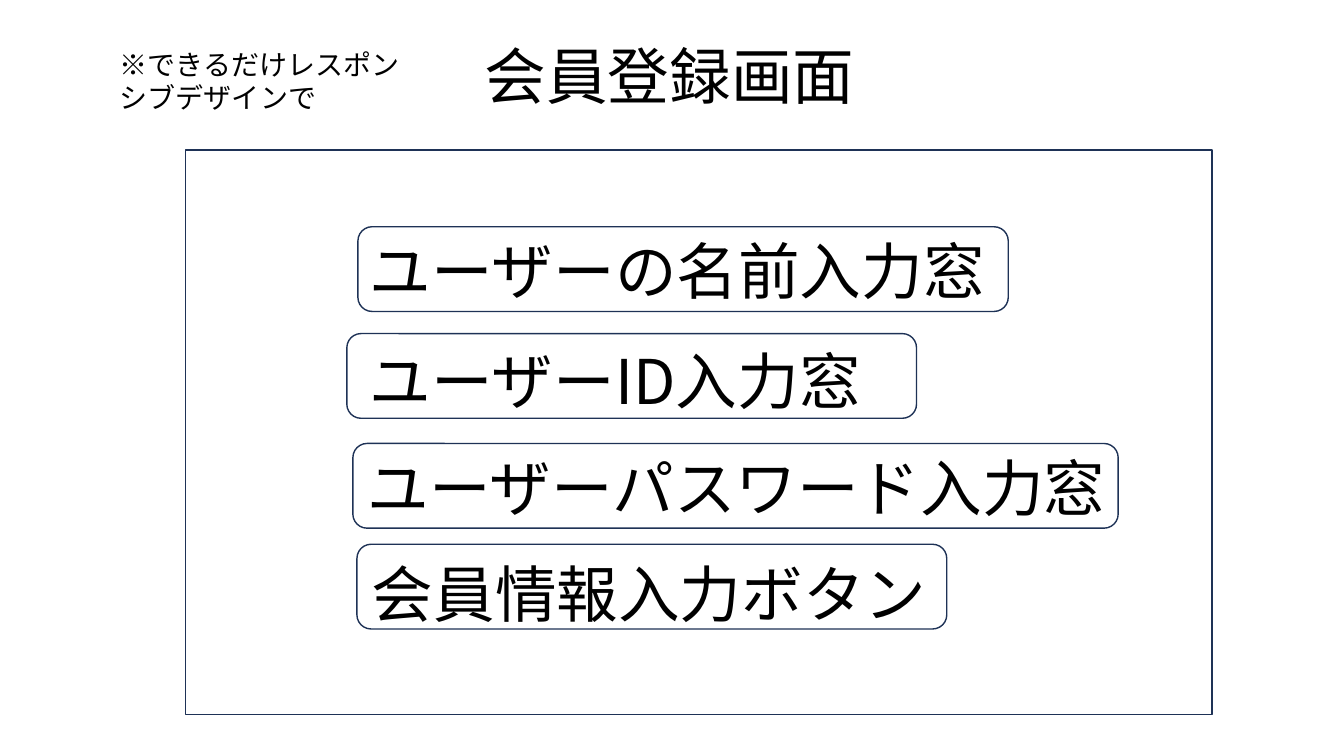
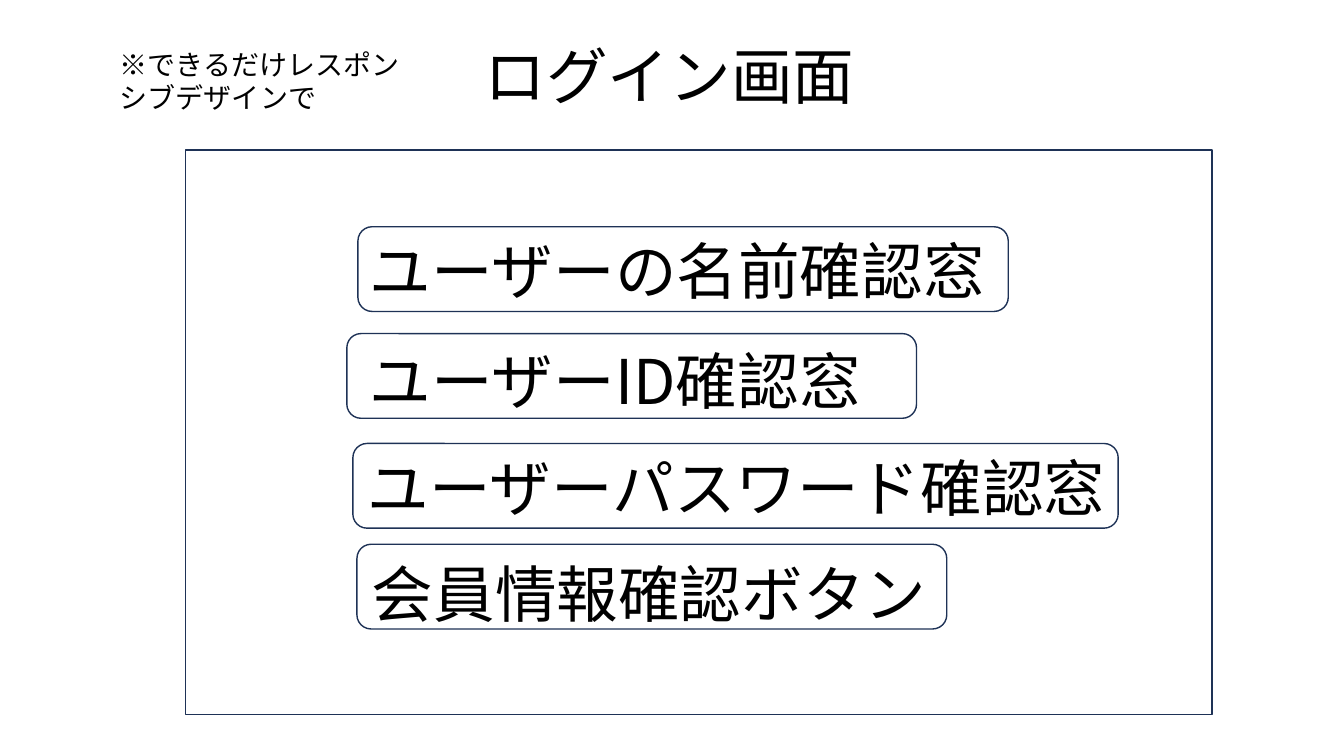
from dataclasses import dataclass

import pptx
import pptx.dml.color
import pptx.enum.shapes
import pptx.enum.text
import pptx.oxml
import pptx.oxml.ns
import pptx.util

Inches = pptx.util.Inches
Shape = pptx.enum.shapes.MSO_SHAPE

COLORS = {"text": "000000", "line": "1E3256"}
FONT = "Noto Sans CJK JP"
NOTE = "※できるだけレスポンシブデザインで"
ROW_HEIGHT = 0.84


@dataclass(frozen=True)
class Box:
    left: float
    top: float
    width: float
    height: float = ROW_HEIGHT

    def lengths(self) -> tuple:
        return tuple(Inches(v) for v in (self.left, self.top, self.width, self.height))


@dataclass(frozen=True)
class Field:
    template: str
    label: Box
    outline: Box


@dataclass(frozen=True)
class Screen:
    title: str
    action: str


TITLE_BOX = Box(4.71, 0.33, 4.03)
NOTE_BOX = Box(1.09, 0.42, 3.17, 0.77)
FRAME_BOX = Box(1.84, 1.49, 10.18, 5.6)

FIELDS = [
    Field("ユーザーの名前{}窓", Box(3.57, 2.26, 6.43), Box(3.55, 2.25, 6.45)),
    Field("ユーザーID{}窓", Box(3.57, 3.35, 5.65), Box(3.44, 3.31, 5.65)),
    Field("ユーザーパスワード{}窓", Box(3.55, 4.41, 7.7), Box(3.5, 4.4, 7.59)),
    Field("会員情報{}ボタン", Box(3.59, 5.47, 5.85), Box(3.54, 5.4, 5.85)),
]

SCREENS = [Screen("会員登録画面", "入力"), Screen("ログイン画面", "確認")]


def rgb(name: str) -> pptx.dml.color.RGBColor:
    return pptx.dml.color.RGBColor.from_string(COLORS[name])


def add_text(s, box: Box, text: str, *, size: int = 44, color: str = "text") -> None:
    tf = s.shapes.add_textbox(*box.lengths()).text_frame
    tf.word_wrap = True
    tf.auto_size = pptx.enum.text.MSO_AUTO_SIZE.SHAPE_TO_FIT_TEXT
    r = tf.paragraphs[0].add_run()
    r.text = text
    r.font.size = pptx.util.Pt(size)
    r.font.name = FONT
    r.font.color.rgb = rgb(color)
    ea = pptx.oxml.parse_xml(f'<a:ea {pptx.oxml.ns.nsdecls("a")} typeface="{FONT}"/>')
    r.font._element.append(ea)


def add_outline(s, box: Box, kind: Shape) -> None:
    sp = s.shapes.add_shape(kind, *box.lengths())
    sp.shadow.inherit = False
    sp.fill.background()
    sp.line.color.rgb = rgb("line")
    sp.line.width = pptx.util.Pt(1)


def add_screen(prs, screen: Screen) -> None:
    s = prs.slides.add_slide(prs.slide_layouts[6])
    add_outline(s, FRAME_BOX, Shape.RECTANGLE)
    add_text(s, TITLE_BOX, screen.title)
    add_text(s, NOTE_BOX, NOTE, size=20)
    for field in FIELDS:
        add_text(s, field.label, field.template.format(screen.action))
        add_outline(s, field.outline, Shape.ROUNDED_RECTANGLE)


def main() -> None:
    prs = pptx.Presentation()
    prs.slide_width = Inches(13.33)
    prs.slide_height = Inches(7.5)
    for screen in SCREENS:
        add_screen(prs, screen)
    prs.save("out.pptx")


if __name__ == "__main__":
    main()
